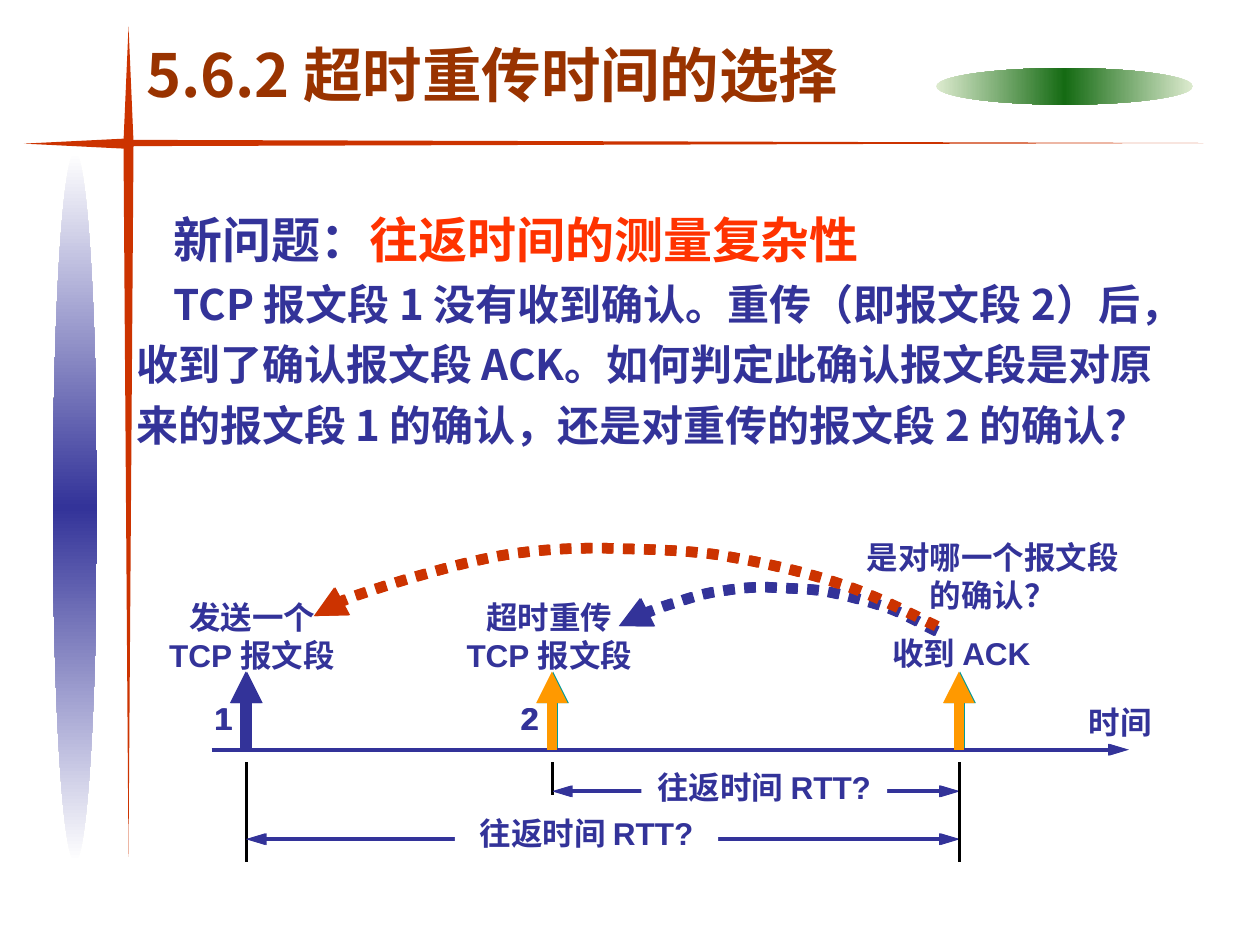
from copy import deepcopy

from lxml import etree
from pptx import Presentation
from pptx.dml.color import RGBColor
from pptx.enum import dml, shapes, text
from pptx.oxml import ns
from pptx.util import Inches, Pt

NAVY = RGBColor(0x33, 0x33, 0x99)
RED = RGBColor(0xCC, 0x33, 0x00)
BRIGHT = RGBColor(0xFF, 0x33, 0x00)
BROWN = RGBColor(0x99, 0x33, 0x00)
GREEN = RGBColor(0x15, 0x6B, 0x13)
PALE = RGBColor(0xDD, 0xEB, 0xCF)
TEAL = RGBColor(0x00, 0x99, 0x99)
ORANGE = RGBColor(0xFF, 0x99, 0x00)
WHITE = RGBColor(0xFF, 0xFF, 0xFF)
BLACK = RGBColor(0, 0, 0)
CJK, LATIN = "Noto Sans CJK SC", "Arial"

# Content
TITLE = "5.6.2 超时重传时间的选择"
BODY = [
    [("新问题：", 28, NAVY), ("往返时间的测量复杂性", 28, BRIGHT)],
    [("TCP 报文段 1 没有收到确认。重传（即报文段 2）后，收到了确认报文段 ACK。"
      "如何判定此确认报文段是对原来的报文段 1 的确认，还是对重传的报文段 2 的确认？",
      24, NAVY)],
]
LABELS = [  # lines, left, top, width, height
    (["发送一个", "TCP 报文段"], 1.21, 4.7, 1.58, 0.7),
    (["超时重传", "TCP 报文段"], 3.57, 4.7, 1.58, 0.7),
    (["收到 ACK"], 6.95, 4.98, 1.36, 0.4),
    (["时间"], 8.54, 5.53, 0.7, 0.4),
    (["是对哪一个报文段", "的确认？"], 6.78, 4.22, 2.2, 0.7),
]
SEND, RESEND, ACK = 1.95, 4.38, 7.61   # moments on the time axis
AXIS = 5.95
SPANS = [  # start, line height, label left, label top, label width
    (RESEND, 6.28, 5.09, 6.05, 1.95),
    (SEND, 6.66, 3.61, 6.41, 2.09),
]
TICKS = [(RESEND, 6.31), (ACK, 6.84), (SEND, 6.84)]
CURVES = [  # cubic curves: a start, then three points for each piece
    (NAVY, [(7.43, 5.01), (7.36, 4.98), (7.18, 4.87), (7.03, 4.82),
            (6.88, 4.77), (6.69, 4.72), (6.53, 4.69),
            (6.38, 4.67), (6.22, 4.67), (6.08, 4.66),
            (5.95, 4.66), (5.85, 4.67), (5.73, 4.69),
            (5.62, 4.7), (5.48, 4.74), (5.37, 4.78),
            (5.26, 4.81), (5.16, 4.85), (5.08, 4.88),
            (5, 4.91), (4.96, 4.94), (4.91, 4.97)]),
    (RED, [(7.43, 4.97), (7.3, 4.91), (6.94, 4.72), (6.65, 4.63),
           (6.36, 4.53), (5.98, 4.45), (5.67, 4.4),
           (5.36, 4.36), (5.05, 4.36), (4.78, 4.35),
           (4.52, 4.35), (4.33, 4.36), (4.1, 4.39),
           (3.87, 4.42), (3.6, 4.49), (3.39, 4.55),
           (3.17, 4.61), (2.96, 4.68), (2.81, 4.73),
           (2.66, 4.79), (2.58, 4.84), (2.49, 4.89)]),
]
OVALS = [  # box, edge, middle, angle
    ((7.43, 0.54, 2.04, 0.29), PALE, GREEN, 0),
    ((0.42, 1.21, 0.35, 5.63), WHITE, NAVY, 90),
]
PANELS = [(0.16, 0.18, 0.77, 0.09), (0.9, 0.22, 0.1, 0.74)]
SPIKES = [  # box, rotation
    ((0.98, 1.12, 0.08, 5.68), 0),
    ((5.24, -3.15, 0.05, 8.57), 270),
    ((0.55, 0.74, 0.08, 0.8), 90),
    ((0.98, 0.21, 0.08, 0.92), 180),
]

deck = Presentation()
deck.slide_width, deck.slide_height = Inches(10), Inches(7.5)
slide = deck.slides.add_slide(deck.slide_layouts[1])
pool = slide.shapes


def place(box):
    return [Inches(n) for n in box]


def add_run(para, words, size, color, face):
    run = para.add_run()
    run.text = words
    font = run.font
    font.size, font.bold, font.name = Pt(size), True, face
    font.color.rgb = color
    east = etree.SubElement(run._r.get_or_add_rPr(), ns.qn("a:ea"))
    east.set("typeface", CJK)


def fit(holder, box):
    holder.left, holder.top, holder.width, holder.height = place(box)
    frame = holder.text_frame
    frame.auto_size = text.MSO_AUTO_SIZE.NONE
    frame.vertical_anchor = text.MSO_ANCHOR.TOP
    return frame


def add_shape(kind, box, fill=None, turn=0):
    item = pool.add_shape(kind, *place(box))
    item.shadow.inherit = False
    item.line.fill.background()
    item.rotation = turn
    if fill is not None:
        item.fill.solid()
        item.fill.fore_color.rgb = fill
    return item


def add_label(lines, left, top, width, height, fill=None):
    box = pool.add_textbox(*place((left, top, width, height)))
    if fill is not None:
        box.fill.solid()
        box.fill.fore_color.rgb = fill
    frame = box.text_frame
    frame.word_wrap = False
    frame.auto_size = text.MSO_AUTO_SIZE.SHAPE_TO_FIT_TEXT
    if fill is not None:
        frame.margin_left = frame.margin_right = Inches(0.05)
    for i, line in enumerate(lines):
        para = frame.add_paragraph() if i else frame.paragraphs[0]
        para.alignment = text.PP_ALIGN.CENTER
        add_run(para, line, 18, NAVY, LATIN)


def add_heads(line, size, *ends):
    for end in ends:
        etree.SubElement(line._get_or_add_ln(), ns.qn("a:" + end),
                         type="triangle", w="med", len=size)


def add_line(x1, y1, x2, y2, color, width, *ends):
    link = pool.add_connector(shapes.MSO_CONNECTOR.STRAIGHT, *place((x1, y1, x2, y2)))
    link.line.color.rgb, link.line.width = color, Pt(width)
    add_heads(link.line, "lg" if width < 6 else "med", *ends)
    etree.SubElement(link._element.spPr, ns.qn("a:effectLst"))


def add_curve(pts, color, dx):
    dots = [(Inches(x + dx), Inches(y)) for x, y in pts]
    pen = pool.build_freeform(*dots[0])
    pen.add_line_segments(dots[1:], close=False)
    curve = pen.convert_to_shape()
    # Turn every three line points into one cubic piece
    track = curve._element.spPr.find(".//" + ns.qn("a:path"))
    legs = track.findall(ns.qn("a:lnTo"))
    for i in range(0, len(legs), 3):
        piece = etree.SubElement(track, ns.qn("a:cubicBezTo"))
        for leg in legs[i:i + 3]:
            piece.append(leg[0])
            track.remove(leg)
    curve.shadow.inherit = False
    curve.fill.background()
    curve.line.color.rgb, curve.line.width = color, Pt(6)
    curve.line.dash_style = dml.MSO_LINE.ROUND_DOT
    add_heads(curve.line, "med", "tailEnd")


def draw_time(dx, tint):
    """Time axis with its arrows, spans and curves, moved right by dx."""
    for start, y, left, top, width in SPANS:
        add_line(start + dx, y, ACK + dx, y, NAVY, 2.25, "headEnd", "tailEnd")
        add_label(["往返时间 RTT?"], left + dx, top, width, 0.4, WHITE)
    add_line(1.68 + dx, AXIS, 8.95 + dx, AXIS, NAVY, 2.25, "tailEnd")
    for x, color in ((SEND, NAVY), (RESEND, tint), (ACK, tint)):
        add_line(x + dx, AXIS, x + dx, 5.33, color, 6, "tailEnd")
    for mark, x in (("1", SEND), ("2", RESEND)):
        add_label([mark], x - 0.35 + dx, 5.5, 0.34, 0.4)
    for x, low in TICKS:
        add_line(x + dx, 6.05, x + dx, low, BLACK, 0.75)
    for color, pts in CURVES:
        add_curve(pts, color, dx)


# Title and body
frame = fit(slide.shapes.title, (1.06, 0.25, 6.19, 0.67))
frame.paragraphs[0].alignment = text.PP_ALIGN.LEFT
add_run(frame.paragraphs[0], TITLE, 34, BROWN, CJK)

frame = fit(slide.placeholders[1], (0.98, 1.52, 8.54, 2.58))
for i, runs in enumerate(BODY):
    para = frame.add_paragraph() if i else frame.paragraphs[0]
    props = para._p.get_or_add_pPr()
    props.set("marL", "0")
    props.set("indent", str(Inches(0.3)))
    etree.SubElement(props, ns.qn("a:buNone"))
    para.line_spacing, para.space_before = 1.2, Pt(0)
    for words, size, color in runs:
        add_run(para, words, size, color, CJK)

# Ornaments
for box, edge, middle, angle in OVALS:
    oval = add_shape(shapes.MSO_SHAPE.OVAL, box)
    oval.fill.gradient()
    oval.fill.gradient_angle = angle
    stops = oval._element.spPr.find(".//" + ns.qn("a:gsLst"))
    stops.append(deepcopy(stops[0]))
    for stop, spot, color in zip(oval.fill.gradient_stops, (0, 0.5, 1),
                                 (edge, middle, edge)):
        stop.position, stop.color.rgb = spot, color
for box in PANELS:
    add_shape(shapes.MSO_SHAPE.RECTANGLE, box, WHITE)
for box, turn in SPIKES:
    add_shape(shapes.MSO_SHAPE.FLOWCHART_MERGE, box, RED, turn)

# Time diagram: back layer, labels, front layer
draw_time(0.01, TEAL)
for label in LABELS:
    add_label(*label)
draw_time(0, ORANGE)

deck.save("out.pptx")
